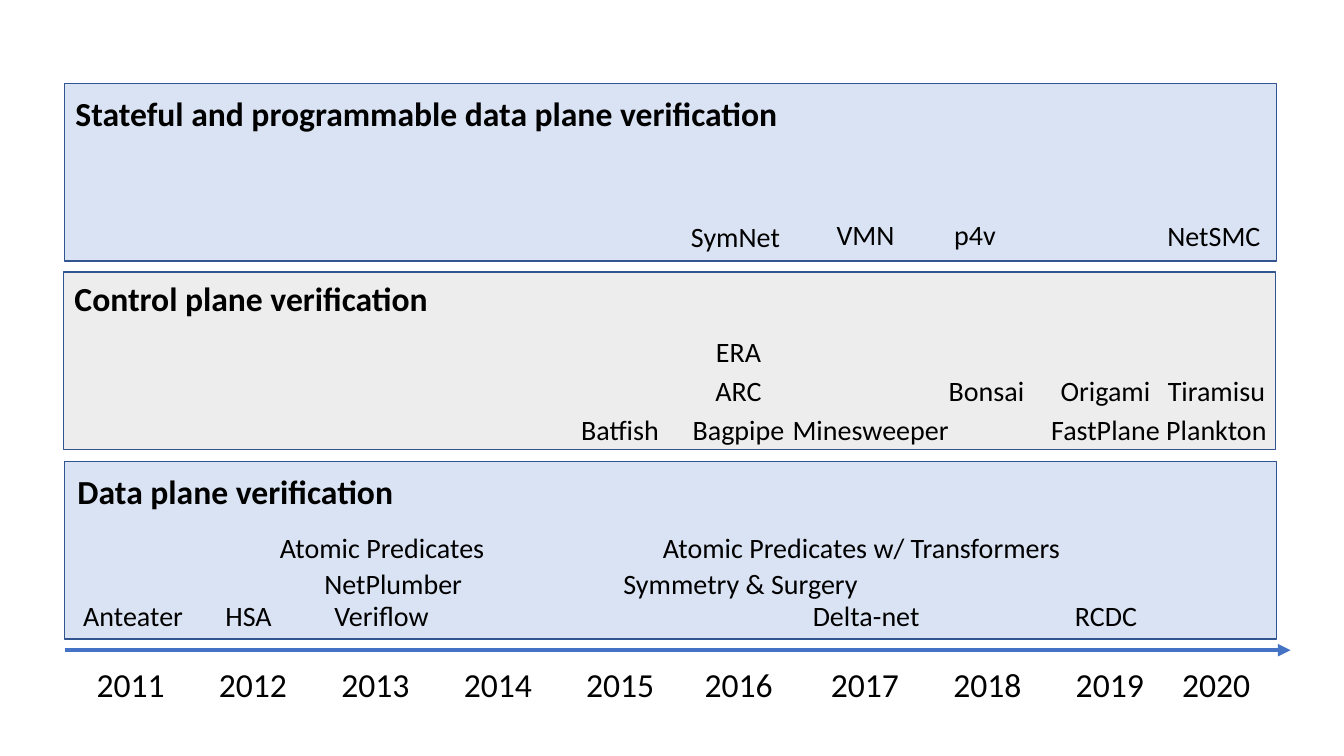
import pptx
import pptx.dml.color
import pptx.enum.shapes
import pptx.enum.text
import pptx.oxml
import pptx.util
from pptx.util import Inches

RGBColor = pptx.dml.color.RGBColor
ALIGN = pptx.enum.text.PP_ALIGN
BLACK = RGBColor(0x00, 0x00, 0x00)
PALE_BLUE = RGBColor(0xDA, 0xE3, 0xF3)
PALE_GREY = RGBColor(0xED, 0xED, 0xED)
BORDER = RGBColor(0x32, 0x54, 0x91)
ARROW = RGBColor(0x44, 0x72, 0xC4)

BAND_WIDTH, BAND_HEIGHT = 12.02, 1.76
TITLE_SIZE, SYSTEM_SIZE = 24, 20
TITLE_HEIGHT, SYSTEM_HEIGHT = 0.5, 0.44
COLUMN = 1.67  # common label width in the control plane band

# Each band: left, top, fill, title (text, left, top, width),
# and rows of systems: top -> (name, left, width)
BANDS = [
    (0.64, 0.83, PALE_BLUE,
     ("Stateful and programmable data plane verification", 0.65, 0.87, 7.3),
     {2.13: [("SymNet", 6.71, 1.17)],
      2.11: [("VMN", 8.08, 1.01), ("p4v", 9.11, 1.12)],
      2.12: [("NetSMC", 11.45, 1.18)]}),
    (0.63, 2.7, PALE_GREY,
     ("Control plane verification", 0.64, 2.71, 4.38),
     {3.27: [("ERA", 6.49, COLUMN)],
      3.66: [("ARC", 6.49, COLUMN), ("Bonsai", 8.95, COLUMN),
             ("Origami", 10.13, COLUMN), ("Tiramisu", 11.23, COLUMN)],
      4.04: [("Batfish", 5.6, 1.1), ("Bagpipe", 6.49, COLUMN),
             ("Minesweeper", 7.75, 1.77), ("FastPlane", 10.13, COLUMN),
             ("Plankton", 11.23, COLUMN)]}),
    (0.64, 4.58, PALE_BLUE,
     ("Data plane verification", 0.67, 4.62, 3.5),
     {5.21: [("Atomic Predicates", 2.47, 2.64),
             ("Atomic Predicates w/ Transformers", 6.01, 5.07)],
      5.57: [("NetPlumber", 3.06, 1.68), ("Symmetry & Surgery", 5.8, 3.09)],
      5.89: [("Anteater", 0.71, 1.22), ("HSA", 1.88, 1.17),
             ("Veriflow", 3.2, 1.17), ("Delta-net", 7.5, 2.18),
             ("RCDC", 9.68, 2.58)]}),
]

YEARS = range(2011, 2021)
YEAR_LEFT, YEAR_STEP, YEAR_TOP, YEAR_WIDTH = 0.85, 1.214, 6.54, 0.89
YEAR_NUDGE = {2016: -0.04, 2020: -0.16}
AXIS_LEFT, AXIS_RIGHT, AXIS_TOP = 0.64, 12.8, 6.45


def add_label(slide, text, left, top, width, height, size, bold=False,
              align=ALIGN.CENTER):
    """Add one line of black text."""
    label = slide.shapes.add_textbox(
        Inches(left), Inches(top), Inches(width), Inches(height))
    frame = label.text_frame
    frame.word_wrap = True
    frame.text = text
    paragraph = frame.paragraphs[0]
    paragraph.alignment = align
    font = paragraph.runs[0].font
    font.name = "Calibri"
    font.size = pptx.util.Pt(size)
    font.bold = bold
    font.color.rgb = BLACK


def add_band(slide, left, top, fill, title, rows):
    """Add a verification band with its title and systems."""
    band = slide.shapes.add_shape(
        pptx.enum.shapes.MSO_SHAPE.RECTANGLE, Inches(left), Inches(top),
        Inches(BAND_WIDTH), Inches(BAND_HEIGHT))
    band.shadow.inherit = False
    band.fill.solid()
    band.fill.fore_color.rgb = fill
    band.line.color.rgb = BORDER
    band.line.width = pptx.util.Pt(1)
    add_label(slide, *title, TITLE_HEIGHT, TITLE_SIZE, True, ALIGN.LEFT)
    for row_top, systems in rows.items():
        for name, system_left, width in systems:
            add_label(slide, name, system_left, row_top, width,
                      SYSTEM_HEIGHT, SYSTEM_SIZE)


def add_timeline(slide):
    """Add the time arrow and the years beneath it."""
    axis = slide.shapes.add_connector(
        pptx.enum.shapes.MSO_CONNECTOR.STRAIGHT, Inches(AXIS_LEFT),
        Inches(AXIS_TOP), Inches(AXIS_RIGHT), Inches(AXIS_TOP))
    axis.line.color.rgb = ARROW
    axis.line.width = pptx.util.Pt(3)
    head = pptx.oxml.ns.qn("a:tailEnd")
    axis.line._get_or_add_ln().makeelement(head)
    arrowhead = axis.line._get_or_add_ln().makeelement(head, {"type": "triangle"})
    axis.line._get_or_add_ln().append(arrowhead)
    properties = axis._element.spPr
    properties.append(properties.makeelement(pptx.oxml.ns.qn("a:effectLst")))
    for index, year in enumerate(YEARS):
        left = YEAR_LEFT + index * YEAR_STEP + YEAR_NUDGE.get(year, 0)
        add_label(slide, str(year), left, YEAR_TOP, YEAR_WIDTH,
                  TITLE_HEIGHT, TITLE_SIZE)


presentation = pptx.Presentation()
presentation.slide_width = Inches(13.33)
presentation.slide_height = Inches(7.5)
timeline_slide = presentation.slides.add_slide(presentation.slide_layouts[6])
for band_content in BANDS:
    add_band(timeline_slide, *band_content)
add_timeline(timeline_slide)
presentation.save("out.pptx")
